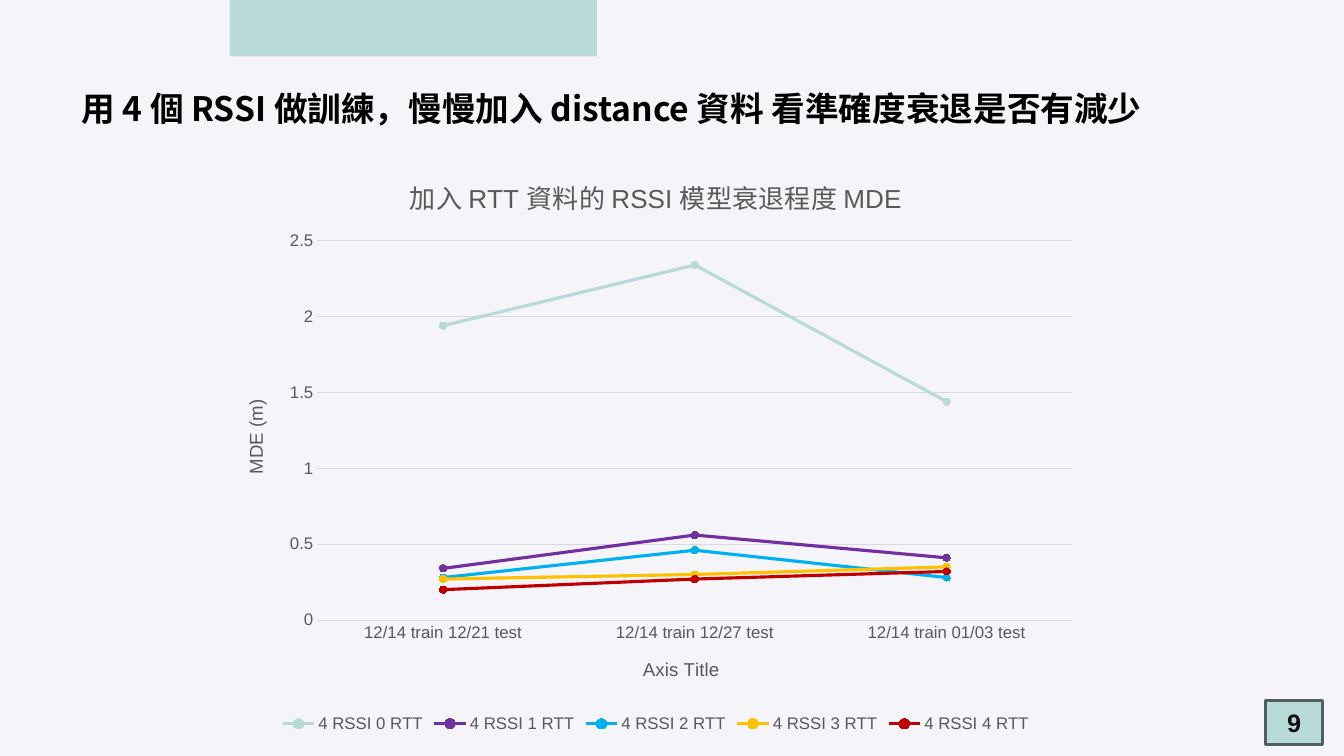
from dataclasses import dataclass

import pptx
import pptx.chart.data
import pptx.dml.color
import pptx.enum.chart
import pptx.enum.shapes
import pptx.enum.text
import pptx.oxml
import pptx.oxml.ns
import pptx.util

Inches = pptx.util.Inches
Pt = pptx.util.Pt


@dataclass
class Theme:
    back: str = "F4F4F9"
    mint: str = "B8DBD9"
    edge: str = "51605F"
    black: str = "000000"
    dark: str = "0D0D0D"
    gray: str = "595959"
    grid: str = "D9D9D9"
    sans: str = "Arial"
    cjk: str = "Noto Sans CJK SC"
    head: float = 24
    page: float = 18
    title: float = 18.6
    axis: float = 13.3
    label: float = 12


theme = Theme()


def rgb(code):
    return pptx.dml.color.RGBColor.from_string(code)


def style(font, size, color, bold=False, name=theme.sans):
    font.size = Pt(size)
    font.bold = bold
    font.name = name
    font.color.rgb = rgb(color)


deck = pptx.Presentation()
deck.slide_width = Inches(13.33)
deck.slide_height = Inches(7.5)
slide = deck.slides.add_slide(deck.slide_layouts[5])
slide.background.fill.solid()
slide.background.fill.fore_color.rgb = rgb(theme.back)

# Top band and page badge
boxes = []
for left, top, width, height in [(2.28, 0, 3.64, 0.56), (12.55, 6.95, 0.57, 0.44)]:
    box = slide.shapes.add_shape(
        pptx.enum.shapes.MSO_SHAPE.RECTANGLE,
        Inches(left), Inches(top), Inches(width), Inches(height))
    box.shadow.inherit = False
    box.fill.solid()
    box.fill.fore_color.rgb = rgb(theme.mint)
    box.line.fill.background()
    boxes.append(box)

badge = boxes[1]
badge.line.color.rgb = rgb(theme.edge)
badge.line.width = Pt(2)
badge.text_frame.text = "9"
badge.text_frame.vertical_anchor = pptx.enum.text.MSO_ANCHOR.MIDDLE
para = badge.text_frame.paragraphs[0]
para.alignment = pptx.enum.text.PP_ALIGN.CENTER
style(para.runs[0].font, theme.page, theme.dark, True)

# Slide title
title = slide.shapes.title
title.left, title.top = Inches(0.71), Inches(0.42)
title.width, title.height = Inches(12.63), Inches(0.78)
frame = title.text_frame
frame.text = "用 4 個 RSSI 做訓練，慢慢加入 distance 資料 看準確度衰退是否有減少"
frame.word_wrap = True
frame.auto_size = pptx.enum.text.MSO_AUTO_SIZE.NONE
frame.vertical_anchor = pptx.enum.text.MSO_ANCHOR.TOP
para = frame.paragraphs[0]
para.alignment = pptx.enum.text.PP_ALIGN.LEFT
para.line_spacing = 2.0
style(para.runs[0].font, theme.head, theme.black, True, theme.cjk)
props = para.runs[0].font._element
east = props.makeelement(pptx.oxml.ns.qn("a:ea"), {"typeface": theme.cjk})
props.find(pptx.oxml.ns.qn("a:latin")).addnext(east)

# Error chart
series = [
    ("4 RSSI 0 RTT", (1.94, 2.34, 1.44), theme.mint),
    ("4 RSSI 1 RTT", (0.34, 0.56, 0.41), "7030A0"),
    ("4 RSSI 2 RTT", (0.28, 0.46, 0.28), "00B0F0"),
    ("4 RSSI 3 RTT", (0.27, 0.3, 0.35), "FFC000"),
    ("4 RSSI 4 RTT", (0.2, 0.27, 0.32), "C00000"),
]
data = pptx.chart.data.CategoryChartData()
data.categories = [f"12/14 train {day} test" for day in ("12/21", "12/27", "01/03")]
for name, values, color in series:
    data.add_series(name, values)
chart = slide.shapes.add_chart(
    pptx.enum.chart.XL_CHART_TYPE.LINE_MARKERS,
    Inches(2.2), Inches(1.52), Inches(8.61), Inches(5.79), data).chart
style(chart.font, theme.label, theme.gray)
chart.plots[0].vary_by_categories = False

for line, (name, values, color) in zip(chart.plots[0].series, series):
    line.smooth = False
    line.format.line.color.rgb = rgb(color)
    line.format.line.width = Pt(2.25)
    line.marker.style = pptx.enum.chart.XL_MARKER_STYLE.CIRCLE
    line.marker.size = 5
    line.marker.format.fill.solid()
    line.marker.format.fill.fore_color.rgb = rgb(color)
    line.marker.format.line.color.rgb = rgb(color)

chart.has_legend = True
chart.legend.position = pptx.enum.chart.XL_LEGEND_POSITION.BOTTOM
chart.legend.include_in_layout = False
style(chart.legend.font, theme.label, theme.gray)

cat, val = chart.category_axis, chart.value_axis
for owner, text, size in [
    (chart, "加入 RTT 資料的 RSSI 模型衰退程度 MDE", theme.title),
    (cat, "Axis Title", theme.axis),
    (val, "MDE (m)", theme.axis),
]:
    owner.has_title = True
    label = owner.chart_title if owner is chart else owner.axis_title
    label.text_frame.text = text
    style(label.text_frame.paragraphs[0].runs[0].font, size, theme.gray)
chart.chart_title.include_in_layout = False

for axis in (cat, val):
    axis.major_tick_mark = pptx.enum.chart.XL_TICK_MARK.NONE
    axis.minor_tick_mark = pptx.enum.chart.XL_TICK_MARK.NONE
    style(axis.tick_labels.font, theme.label, theme.gray)
val.minimum_scale, val.maximum_scale, val.major_unit = 0, 2.5, 0.5
val.has_major_gridlines = True
val.format.line.fill.background()
for rule in (cat.format.line, val.major_gridlines.format.line):
    rule.color.rgb = rgb(theme.grid)
    rule.width = Pt(0.75)

# Fixed inner plot area, as shares of the chart frame
plot = chart.plots[0]._element.getparent()
for old in plot.findall(pptx.oxml.ns.qn("c:layout")):
    plot.remove(old)
places = "".join(
    f'<c:{tag} val="{share}"/>'
    for tag, share in [("x", 0.11), ("y", 0.15), ("w", 0.87), ("h", 0.65)])
plot.insert(0, pptx.oxml.parse_xml(
    f'<c:layout {pptx.oxml.ns.nsdecls("c")}><c:manualLayout>'
    '<c:layoutTarget val="inner"/><c:xMode val="edge"/><c:yMode val="edge"/>'
    f'{places}</c:manualLayout></c:layout>'))

deck.save("out.pptx")
